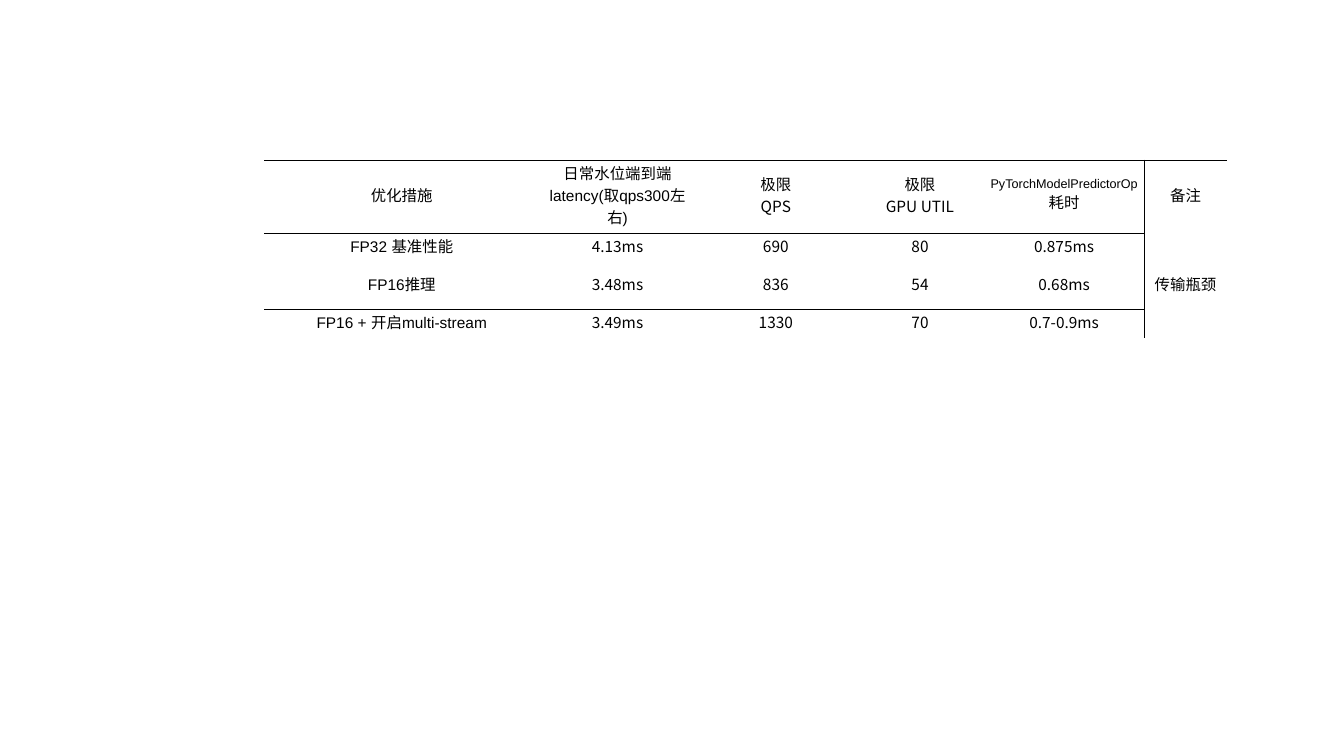
from lxml.etree import SubElement
from pptx import Presentation
from pptx.dml.color import RGBColor
from pptx.enum.text import MSO_ANCHOR, PP_ALIGN
from pptx.oxml.ns import qn
from pptx.util import Inches, Pt

LATIN, CJK = "Arial", "Noto Sans CJK SC"
BLACK = "000000"
NO_STYLE = "{2D5ABB26-0587-4C30-8999-92F81FD0307C}"
WIDTHS = [2.73, 1.55, 1.59, 1.27, 1.59, 0.82]
HEIGHTS = [0.62, 0.25, 0.47, 0.25]
ROWS = [
    ["优化措施", "日常水位端到端latency(取qps300左右)", "极限\nQPS",
     "极限\nGPU UTIL", "PyTorchModelPredictorOp|耗时", "备注"],
    ["FP32 基准性能", "4.13ms", "690", "80", "0.875ms", ""],
    ["FP16推理", "3.48ms", "836", "54", "0.68ms", "传输瓶颈"],
    ["FP16 + 开启multi-stream", "3.49ms", "1330", "70", "0.7-0.9ms", ""],
]
NOTE = len(WIDTHS) - 1


def color(code):
    return RGBColor.from_string(code)


def rule(cell, sides):
    """Draw a thin line on each named side (L, R, T, B) and hide the rest."""
    props = cell._tc.get_or_add_tcPr()
    for side in "LRTB":
        line = SubElement(props, qn(f"a:ln{side}"), w=str(Pt(1)))
        if side in sides:
            fill = SubElement(line, qn("a:solidFill"))
            SubElement(fill, qn("a:srgbClr"), val=BLACK)
        else:
            SubElement(line, qn("a:noFill"))


def sides_of(row, col):
    sides = "T" if row == 0 else ""
    if col == NOTE:
        return sides + "L"
    if row in (1, 3):
        sides += "T"
    if row in (0, 2):
        sides += "B"
    return sides + ("R" if col == NOTE - 1 else "")


def write(cell, text, font):
    """Fill a cell: a new line starts a paragraph, and | ends a small run."""
    frame = cell.text_frame
    for i, line in enumerate(text.split("\n")):
        para = frame.add_paragraph() if i else frame.paragraphs[0]
        para.alignment = PP_ALIGN.CENTER
        para.font.size = Pt(11)
        para.font.name = CJK if i else font
        para.font.color.rgb = color(BLACK)
        small, bar, rest = line.rpartition("|")
        if bar:
            run = para.add_run()
            run.text = small
            run.font.size = Pt(9)
        if rest:
            para.add_run().text = rest
        else:
            SubElement(para._p, qn("a:endParaRPr"), sz="1100")


def style(cell, sides):
    cell.vertical_anchor = MSO_ANCHOR.MIDDLE
    cell.margin_left = cell.margin_right = cell.margin_top = Inches(0.01)
    cell.margin_bottom = Inches(0.05)
    rule(cell, sides)
    cell.fill.background()


def add_grid(slide):
    frame = slide.shapes.add_table(
        len(ROWS), len(WIDTHS), Inches(2.62), Inches(1.59),
        Inches(sum(WIDTHS)), Inches(sum(HEIGHTS)))
    table = frame.table
    table.first_row = table.horz_banding = False
    table._tbl.tblPr.find(qn("a:tableStyleId")).text = NO_STYLE
    for col, width in zip(table.columns, WIDTHS):
        col.width = Inches(width)
    for row, height in zip(table.rows, HEIGHTS):
        row.height = Inches(height)
    for r, texts in enumerate(ROWS):
        for c, text in enumerate(texts):
            cell = table.cell(r, c)
            write(cell, text, CJK if r and 0 < c < NOTE else LATIN)
            style(cell, sides_of(r, c))


def main():
    deck = Presentation()
    deck.slide_width, deck.slide_height = Inches(13.33), Inches(7.5)
    add_grid(deck.slides.add_slide(deck.slide_layouts[6]))
    deck.save("out.pptx")


if __name__ == "__main__":
    main()
